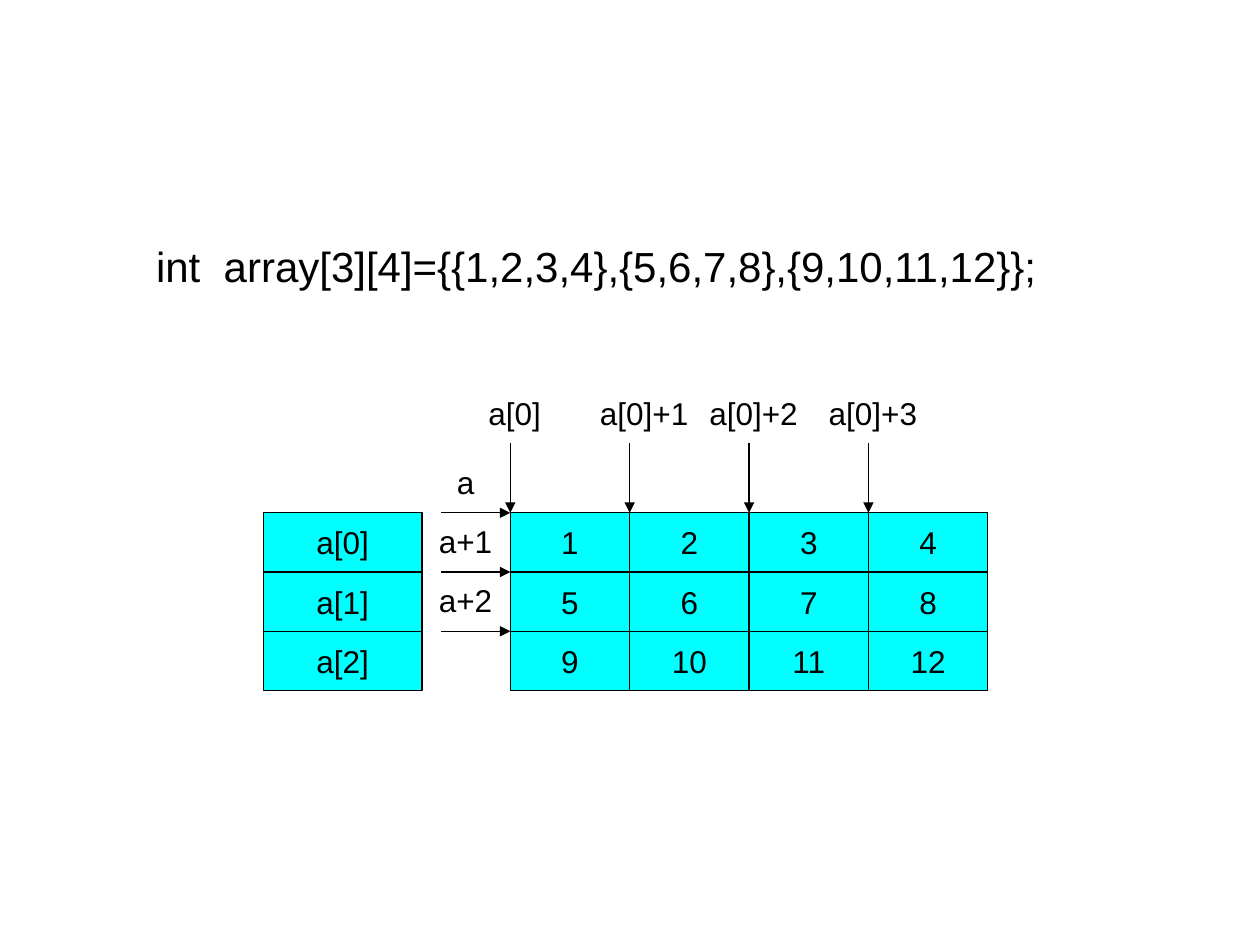
from pptx import Presentation
from pptx.dml.color import RGBColor
from pptx.enum.shapes import MSO_CONNECTOR, MSO_SHAPE
from pptx.enum.text import MSO_ANCHOR, PP_ALIGN
from pptx.oxml.ns import qn
from pptx.util import Inches, Pt
from lxml import etree

RECT = MSO_SHAPE.RECTANGLE
LINE = MSO_CONNECTOR.STRAIGHT
MID, TOP = MSO_ANCHOR.MIDDLE, MSO_ANCHOR.TOP
MID_AL, LEFT_AL = PP_ALIGN.CENTER, PP_ALIGN.LEFT

CODE = "int  array[3][4]={{1,2,3,4},{5,6,7,8},{9,10,11,12}};"
NAMES = ["a[0]", "a[1]", "a[2]"]
GRID = [[1, 2, 3, 4], [5, 6, 7, 8], [9, 10, 11, 12]]
ROW_TAGS = ["a", "a+1", "a+2"]
COL_TAGS = [("a[0]", 0.39), ("a[0]+1", 0.55), ("a[0]+2", 0.39), ("a[0]+3", 0.39)]

THEME = {
    "font": "Arial",
    "ink": RGBColor(0, 0, 0),
    "cell": RGBColor(0, 255, 255),
    "code": Pt(24),
    "text": Pt(18),
    "line": Pt(0.75),
}

NAME_X, NAME_W = 2.09, 1.26
GRID_X, GRID_Y, GRID_W = 4.05, 4.07, 3.79
CELL_W, CELL_H = GRID_W / len(GRID[0]), 0.47
TAG_W, TAG_H = 0.39, 0.31
ARROW = 0.55

deck = Presentation()
deck.slide_width, deck.slide_height = Inches(10), Inches(7.5)
slide = deck.slides.add_slide(deck.slide_layouts[6])


def write(shape, text, size=THEME["text"], align=MID_AL, anchor=MID):
    frame = shape.text_frame
    frame.word_wrap = False
    frame.vertical_anchor = anchor
    para = frame.paragraphs[0]
    para.alignment = align
    run = para.add_run()
    run.text = text
    run.font.name = THEME["font"]
    run.font.size = size
    run.font.color.rgb = THEME["ink"]


def add_rect(text, x, y, w, h):
    rect = slide.shapes.add_shape(RECT, Inches(x), Inches(y), Inches(w), Inches(h))
    rect.shadow.inherit = False
    write(rect, text)
    return rect


def add_cell(text, x, y, w):
    cell = add_rect(text, x, y, w, CELL_H)
    cell.fill.solid()
    cell.fill.fore_color.rgb = THEME["cell"]
    cell.line.color.rgb = THEME["ink"]
    cell.line.width = THEME["line"]


def add_tag(text, x, y, w):
    tag = add_rect(text, x, y, w, TAG_H)
    tag.fill.background()
    tag.line.fill.background()


def add_arrow(x1, y1, x2, y2):
    line = slide.shapes.add_connector(LINE, Inches(x1), Inches(y1), Inches(x2), Inches(y2))
    line.line.color.rgb = THEME["ink"]
    line.line.width = THEME["line"]
    etree.SubElement(line.line._get_or_add_ln(), qn("a:tailEnd"), type="triangle")
    etree.SubElement(line._element.spPr, qn("a:effectLst"))


for row, (name, nums, tag) in enumerate(zip(NAMES, GRID, ROW_TAGS)):
    y = GRID_Y + row * CELL_H
    add_cell(name, NAME_X, y, NAME_W)
    for col, num in enumerate(nums):
        add_cell(str(num), GRID_X + col * CELL_W, y, CELL_W)

for row, tag in enumerate(ROW_TAGS):
    y = GRID_Y + row * CELL_H
    add_tag(tag, GRID_X - ARROW, y - 0.4, TAG_W)
    add_arrow(GRID_X - ARROW, y, GRID_X, y)

for col, (tag, wide) in enumerate(COL_TAGS):
    x = GRID_X + col * CELL_W
    add_tag(tag, x - 0.16, GRID_Y - 0.95, wide)
    add_arrow(x, GRID_Y - ARROW, x, GRID_Y)

code = slide.shapes.add_textbox(Inches(1.14), Inches(1.86), Inches(7.21), Inches(0.5))
write(code, CODE, THEME["code"], LEFT_AL, TOP)

deck.save("out.pptx")
